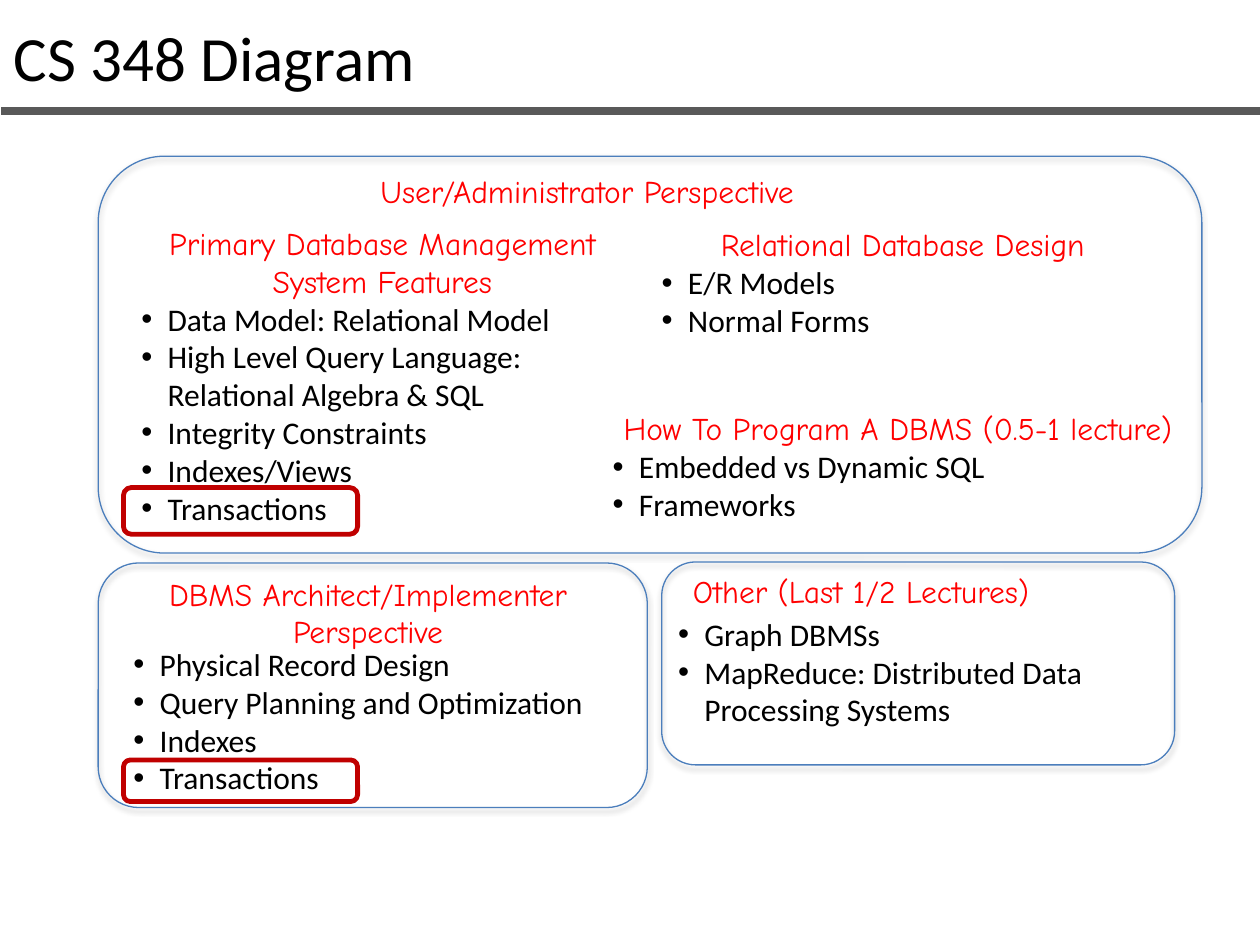
from dataclasses import dataclass

from lxml.etree import SubElement
from pptx import Presentation
from pptx.dml.color import RGBColor
from pptx.enum.shapes import MSO_CONNECTOR, MSO_SHAPE
from pptx.enum.text import MSO_AUTO_SIZE, PP_ALIGN
from pptx.oxml.ns import qn
from pptx.util import Cm, Pt


@dataclass(frozen=True)
class Theme:
    ink: str = "000000"
    heading: str = "FF0000"
    panel_line: str = "4B7EBC"
    highlight: str = "C00000"
    rule: str = "595959"
    body_font: str = "Calibri"
    heading_font: str = "Comic Neue"
    title_size: int = 36
    body_size: int = 18


class DiagramSlide:
    def __init__(self, slide, theme):
        self.slide = slide
        self.theme = theme

    def outline(self, left, top, width, height, color, weight):
        """Add an unfilled rounded rectangle."""
        frame = self.slide.shapes.add_shape(
            MSO_SHAPE.ROUNDED_RECTANGLE, Cm(left), Cm(top), Cm(width), Cm(height))
        frame.fill.background()
        frame.line.color.rgb = RGBColor.from_string(color)
        frame.line.width = Pt(weight)
        frame.shadow.inherit = False
        return frame

    def panel(self, left, top, width, height):
        """Add a section outline with a soft shadow below it."""
        frame = self.outline(left, top, width, height, self.theme.panel_line, 0.75)
        effects = frame.element.spPr.find(qn("a:effectLst"))
        shadow = SubElement(effects, qn("a:outerShdw"), blurRad=str(Pt(3.1)),
                            dist=str(Pt(1.8)), dir="5400000", rotWithShape="0")
        tint = SubElement(shadow, qn("a:srgbClr"), val=self.theme.ink)
        SubElement(tint, qn("a:alpha"), val="35000")

    def highlight(self, left, top, width, height):
        self.outline(left, top, width, height, self.theme.highlight, 2.75)

    def rule(self, left, top, right):
        line = self.slide.shapes.add_connector(
            MSO_CONNECTOR.STRAIGHT, Cm(left), Cm(top), Cm(right), Cm(top))
        line.line.color.rgb = RGBColor.from_string(self.theme.rule)
        line.line.width = Pt(4.5)
        SubElement(line.element.spPr, qn("a:effectLst"))

    def text_frame(self, left, top, width, height):
        box = self.slide.shapes.add_textbox(Cm(left), Cm(top), Cm(width), Cm(height))
        box.text_frame.word_wrap = True
        box.text_frame.auto_size = MSO_AUTO_SIZE.SHAPE_TO_FIT_TEXT
        return box.text_frame

    def style(self, paragraph, font, size, color):
        for run in paragraph.runs:
            run.font.name = font
            run.font.size = Pt(size)
            run.font.color.rgb = RGBColor.from_string(color)

    def title(self, left, top, width, height, wording):
        frame = self.text_frame(left, top, width, height)
        frame.text = wording
        self.style(frame.paragraphs[0], self.theme.body_font,
                   self.theme.title_size, self.theme.ink)

    def topic(self, left, top, width, height, heading=None, items=(),
              align=PP_ALIGN.CENTER):
        """Add an optional red heading followed by bulleted items."""
        theme = self.theme
        frame = self.text_frame(left, top, width, height)
        frame.text = "\n".join(([heading] if heading else []) + list(items))
        bullets = list(frame.paragraphs)
        if heading:
            first = bullets.pop(0)
            first.alignment = align
            self.style(first, theme.heading_font, theme.body_size, theme.heading)
            if items:
                first._p.get_or_add_pPr().set("marL", str(Cm(0.25)))
        for item in bullets:
            self.style(item, theme.body_font, theme.body_size, theme.ink)
            properties = item._p.get_or_add_pPr()
            properties.set("marL", str(Cm(0.79)))
            properties.set("indent", str(Cm(-0.53)))
            SubElement(properties, qn("a:buFont"), typeface="Arial")
            SubElement(properties, qn("a:buChar"), char="•")


def main():
    presentation = Presentation()
    presentation.slide_width, presentation.slide_height = Cm(25.4), Cm(19.05)
    blank = presentation.slide_layouts[6]
    diagram = DiagramSlide(presentation.slides.add_slide(blank), Theme())

    diagram.title(0.03, 0.25, 21.89, 1.8, "CS 348 Diagram")
    diagram.rule(0.03, 2.24, 25.43)

    diagram.panel(1.98, 3.15, 22.25, 8)
    diagram.panel(1.98, 11.35, 11.07, 4.93)
    diagram.panel(13.34, 11.33, 10.34, 4.09)

    diagram.topic(4.14, 3.35, 15.39, 1.02, "User/Administrator Perspective")
    diagram.topic(2.34, 4.39, 10.49, 6.4,
                  "Primary Database Management System Features",
                  ["Data Model: Relational Model",
                   "High Level Query Language: Relational Algebra & SQL",
                   "Integrity Constraints", "Indexes/Views", "Transactions"])
    diagram.topic(12.83, 4.42, 10.49, 2.57, "Relational Database Design",
                  ["E/R Models", "Normal Forms"])
    diagram.topic(11.84, 8.13, 12.27, 2.57, "How To Program A DBMS (0.5-1 lecture)",
                  ["Embedded vs Dynamic SQL", "Frameworks"])

    diagram.topic(2.49, 11.46, 9.86, 1.8, "DBMS Architect/Implementer Perspective")
    diagram.topic(2.18, 12.88, 10.87, 3.33, items=[
        "Physical Record Design", "Query Planning and Optimization",
        "Indexes", "Transactions"])

    diagram.topic(13.72, 11.4, 8.74, 1.02, "Other (Last 1/2 Lectures)",
                  align=PP_ALIGN.LEFT)
    diagram.topic(13.16, 12.27, 10.21, 2.57, items=[
        "Graph DBMSs", "MapReduce: Distributed Data Processing Systems"])

    diagram.highlight(2.49, 9.83, 4.72, 0.94)
    diagram.highlight(2.49, 15.32, 4.72, 0.84)

    presentation.save("out.pptx")


if __name__ == "__main__":
    main()
